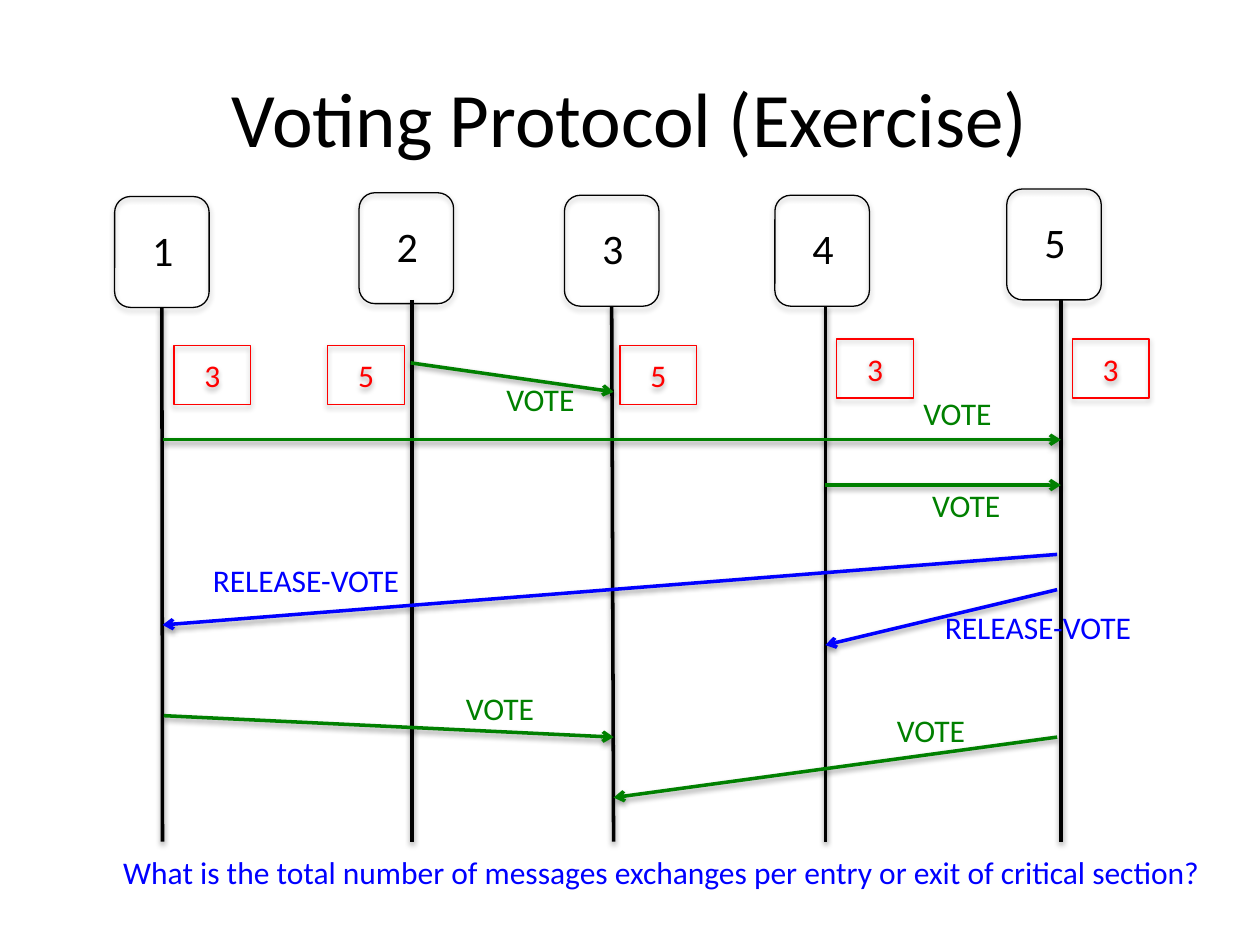
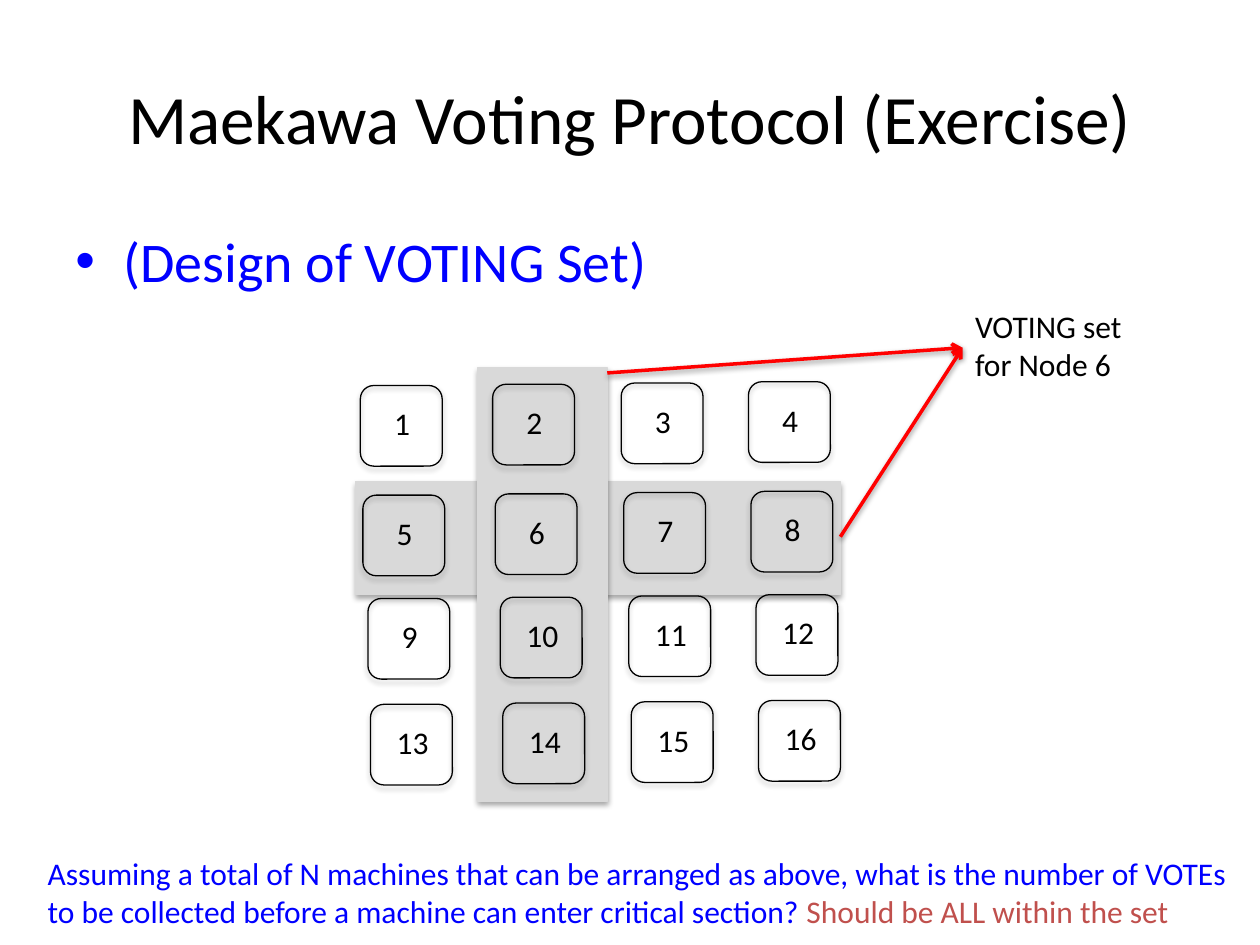
from dataclasses import dataclass

from lxml.etree import SubElement
from pptx import Presentation
from pptx.dml.color import RGBColor
from pptx.enum.shapes import MSO_CONNECTOR as Connector, MSO_SHAPE as Shape
from pptx.enum.text import MSO_ANCHOR as Anchor, MSO_AUTO_SIZE as AutoSize, PP_ALIGN as Align
from pptx.oxml.ns import qn
from pptx.util import Pt

PX = 9144


@dataclass(frozen=True)
class Theme:
    font: str = "Calibri"
    black: RGBColor = RGBColor(0x00, 0x00, 0x00)
    blue: RGBColor = RGBColor(0x00, 0x00, 0xFF)
    green: RGBColor = RGBColor(0x00, 0x80, 0x00)
    red: RGBColor = RGBColor(0xFF, 0x00, 0x00)
    brick: RGBColor = RGBColor(0xC0, 0x50, 0x4D)
    grey: RGBColor = RGBColor(0xD9, 0xD9, 0xD9)
    title: float = 44
    long_title: float = 39.6
    bullet: float = 32
    node: float = 24
    text: float = 18
    outline: float = 0.75
    stroke: float = 2


theme = Theme()
title_area = (50, 30, 900, 125)


def add_box(page, area, text="", color=theme.black, size=theme.text, shape=None, fill=None, centred=False, wrap=False):
    place = [length * PX for length in area]
    if shape is None:
        box = page.shapes.add_textbox(*place)
    else:
        box = page.shapes.add_shape(shape, *place)
        box.line.color.rgb = color
        box.line.width = Pt(theme.outline)
        if fill is None:
            box.fill.background()
        else:
            box.fill.solid()
            box.fill.fore_color.rgb = fill
    frame = box.text_frame
    frame.word_wrap = wrap
    if shape is None and not wrap:
        frame.auto_size = AutoSize.SHAPE_TO_FIT_TEXT
    if centred:
        frame.vertical_anchor = Anchor.MIDDLE
    frame.text = text
    for para in frame.paragraphs:
        para.alignment = Align.CENTER if centred else Align.LEFT
        for span in para.runs:
            span.font.name = theme.font
            span.font.size = Pt(size)
            span.font.color.rgb = color
    return box


def add_line(page, start, end, color, arrow=True):
    line = page.shapes.add_connector(Connector.STRAIGHT, *[length * PX for length in start + end])
    line.line.color.rgb = color
    line.line.width = Pt(theme.stroke)
    if arrow:
        SubElement(line.line._get_or_add_ln(), qn("a:tailEnd"), type="arrow")
    return line


deck = Presentation()
deck.slide_width = 1000 * PX
deck.slide_height = 750 * PX
blank = deck.slide_layouts[6]

page = deck.slides.add_slide(blank)
add_box(page, title_area, "Voting Protocol (Exercise)", size=theme.title, centred=True, wrap=True)

processes = [
    (91, 156, 129, 243),
    (285, 153, 327, 238),
    (448, 155, 487, 241),
    (615, 155, 655, 243),
    (799, 150, 842, 238),
]
for number, (left, top, lifeline, start) in enumerate(processes, 1):
    node = add_box(page, (left, top, 75, 88), shape=Shape.ROUNDED_RECTANGLE)
    add_box(page, (left + 20, top + 17, 37, 50), str(number), size=theme.node)
    line = add_line(page, (lifeline, start), (lifeline, 668), theme.black, arrow=False)
    if abs(lifeline - left - 75 / 2) <= 2:
        line.begin_connect(node, 2)

for left, top, vote in [(138, 274, 3), (260, 274, 5), (492, 274, 5), (664, 269, 3), (851, 269, 3)]:
    add_box(page, (left, top, 61, 47), str(vote), theme.red, shape=Shape.RECTANGLE, centred=True)

messages = [
    ("VOTE", (129, 349), (842, 349), (723, 308)),
    ("VOTE", (655, 385), (842, 385), (730, 381)),
    ("VOTE", (326, 288), (487, 311), (392, 297)),
    ("RELEASE-VOTE", (839, 440), (129, 496), (159, 440)),
    ("RELEASE-VOTE", (839, 468), (655, 512), (740, 478)),
    ("VOTE", (130, 568), (487, 585), (360, 542)),
    ("VOTE", (839, 585), (487, 633), (702, 559)),
]
message_styles = {"VOTE": (theme.green, 76), "RELEASE-VOTE": (theme.blue, 171)}
for message, start, end, corner in messages:
    color, width = message_styles[message]
    add_line(page, start, end, color)
    add_box(page, corner + (width, 40), message, color)

question = "What is the total number of messages exchanges per entry or exit of critical section?"
add_box(page, (88, 672, 886, 40), question, theme.blue)

page = deck.slides.add_slide(blank)
for band in [(282, 382, 385, 90), (379, 292, 103, 344)]:
    add_box(page, band, color=theme.grey, shape=Shape.RECTANGLE, fill=theme.grey)
add_box(page, title_area, "Maekawa Voting Protocol (Exercise)", size=theme.long_title, centred=True, wrap=True)

body = add_box(page, (50, 175, 900, 495), "(Design of VOTING Set)", theme.blue, theme.bullet, wrap=True)
para = body.text_frame.paragraphs[0]
para.space_before = Pt(theme.bullet * 0.2)
properties = para._p.get_or_add_pPr()
properties.set("marL", str(38 * PX))
properties.set("indent", str(-38 * PX))
SubElement(properties, qn("a:buFont"), typeface="Arial")
SubElement(properties, qn("a:buChar"), char="•")

column_lefts = (286, 391, 493, 594)
rows = [(306, 0), (393, 2), (475, 6), (559, 8)]
for row, (row_top, drift) in enumerate(rows):
    for column, column_left in enumerate(column_lefts):
        number = row * len(column_lefts) + column + 1
        left, top = column_left + drift, row_top - column
        inset, width = (17, 33) if number < 10 else (11, 46)
        add_box(page, (left, top, 65, 64), shape=Shape.ROUNDED_RECTANGLE)
        add_box(page, (left + inset, top + 10, width, 40), str(number))

question = (
    "Assuming a total of N machines that can be arranged as above, what is the number of VOTEs\n"
    "to be collected before a machine can enter critical section? "
)
box = add_box(page, (28, 673, 1001, 71), question, theme.blue)
answer = box.text_frame.paragraphs[-1].add_run()
answer.text = "Should be ALL within the set"
answer.font.name = theme.font
answer.font.size = Pt(theme.text)
answer.font.color.rgb = theme.brick

for band_edge in [(482, 296), (667, 426)]:
    add_line(page, band_edge, (764, 276), theme.red)
add_box(page, (764, 239, 139, 71), "VOTING set\nfor Node 6")

deck.save("out.pptx")
